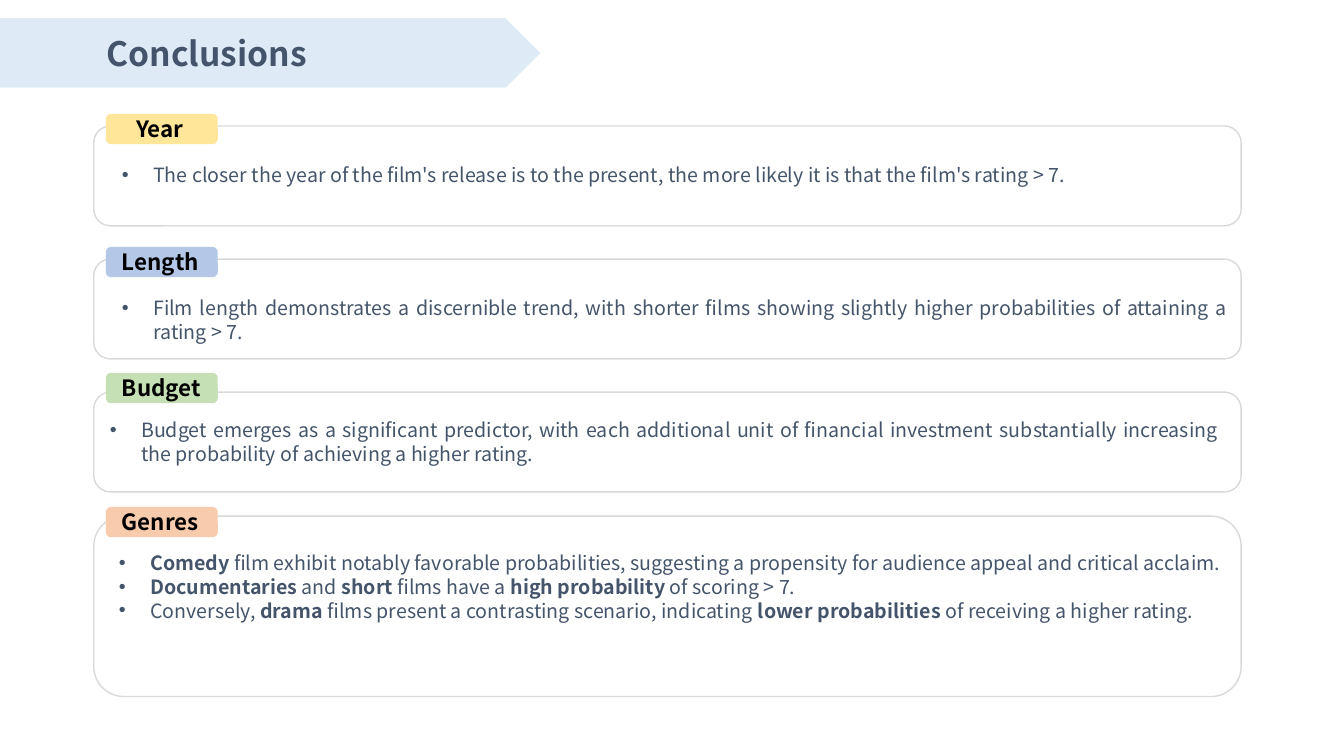
from lxml.etree import SubElement
from pptx import Presentation
from pptx.dml.color import RGBColor
from pptx.enum.shapes import MSO_SHAPE
from pptx.enum.text import MSO_ANCHOR, PP_ALIGN
from pptx.oxml.ns import qn
from pptx.util import Inches, Pt

FONT = "Noto Sans CJK SC"
COLORS = {
    "banner": "DEEBF7", "text": "44546A", "label": "000000", "border": "D9D9D9",
    "Year": "FFE699", "Length": "B4C7E7", "Budget": "C5E0B4", "Genres": "F8CBAD",
}
CARD_LEFT, CARD_WIDTH = 0.93, 11.38
CARD_TOP, CARD_STEP = 1.25, 1.32
INDENT = 0.31

# Bullets are lists of (text, bold) runs.
YEAR = [[("The closer the year of the film's release is to the present, the more likely "
          "it is that the film's rating > 7.", False)]]
LENGTH = [[("Film length demonstrates a discernible trend, with shorter films showing "
            "slightly higher probabilities of attaining a rating > 7.", False)]]
BUDGET = [[("Budget emerges as a significant predictor, with each additional unit of "
            "financial investment substantially increasing the probability of "
            "achieving a higher rating.", False)]]
GENRES = [
    [("Comedy", True),
     (" film exhibit notably favorable probabilities, suggesting a propensity for "
      "audience appeal and critical acclaim.", False)],
    [("Documentaries", True), (" and ", False), ("short", True),
     (" films have a ", False), ("high probability", True),
     (" of scoring > 7.", False)],
    [("Conversely, ", False), ("drama", True),
     (" films present a contrasting scenario, indicating ", False),
     ("lower probabilities", True), (" of receiving a higher rating.", False)],
]


def add_block(slide, kind, box, fill=None, border=None):
    block = slide.shapes.add_shape(kind, *map(Inches, box))
    block.shadow.inherit = False
    if fill:
        block.fill.solid()
        block.fill.fore_color.rgb = RGBColor.from_string(COLORS[fill])
    else:
        block.fill.background()
    if border:
        block.line.color.rgb = RGBColor.from_string(COLORS[border])
        block.line.width = Pt(1)
    else:
        block.line.fill.background()


def add_bullet(paragraph):
    properties = paragraph._p.get_or_add_pPr()
    properties.set("marL", str(Inches(INDENT)))
    properties.set("indent", str(-Inches(INDENT)))
    SubElement(properties, qn("a:buFont"), typeface="Arial")
    SubElement(properties, qn("a:buChar"), char="•")


def add_text(slide, box, paragraphs, size, color, align=PP_ALIGN.LEFT,
             anchor=MSO_ANCHOR.TOP, bulleted=False):
    frame = slide.shapes.add_textbox(*map(Inches, box)).text_frame
    frame.word_wrap = True
    frame.vertical_anchor = anchor
    frame.margin_left = frame.margin_right = frame.margin_top = frame.margin_bottom = 0
    for index, runs in enumerate(paragraphs):
        paragraph = frame.add_paragraph() if index else frame.paragraphs[0]
        paragraph.alignment = align
        paragraph.line_spacing = Pt(size * 1.2)
        if bulleted:
            add_bullet(paragraph)
        for words, bold in runs:
            run = paragraph.add_run()
            run.text = words
            run.font.name = FONT
            run.font.size = Pt(size)
            run.font.bold = bold
            run.font.color.rgb = RGBColor.from_string(COLORS[color])
            SubElement(run._r.get_or_add_rPr(), qn("a:ea"), typeface=FONT)


def add_banner(slide, left, top, width, height):
    add_block(slide, MSO_SHAPE.PENTAGON, (left, top, width, height), fill="banner")
    add_text(slide, (left - 0.36, top + 0.13, width - 0.54, 0.43),
             [[("Conclusions", True)]], 24, "text", PP_ALIGN.CENTER, MSO_ANCHOR.MIDDLE)


def add_card(slide, box, topic, bullets, tab_rise, label_inset, body_box, align):
    """Outlined card with a coloured tab; body_box is relative to the card's corner."""
    left, top, width, height = box
    tab_left, tab_top = left + 0.12, top - tab_rise
    add_block(slide, MSO_SHAPE.ROUNDED_RECTANGLE, box, border="border")
    add_block(slide, MSO_SHAPE.ROUNDED_RECTANGLE, (tab_left, tab_top, 1.11, 0.3), fill=topic)
    add_text(slide, (tab_left + label_inset, tab_top + 0.01, 1.85, 0.27),
             [[(topic, True)]], 16, "label")
    x, y, body_width, body_height = body_box
    add_text(slide, (left + x, top + y, body_width, body_height),
             bullets, 14, "text", align, bulleted=True)


def main():
    presentation = Presentation()
    presentation.slide_width, presentation.slide_height = Inches(13.33), Inches(7.5)
    slide = presentation.slides.add_slide(presentation.slide_layouts[6])
    add_banner(slide, 0, 0.18, 5.36, 0.69)

    left, justify = PP_ALIGN.LEFT, PP_ALIGN.JUSTIFY
    cards = [
        ("Year", YEAR, 0.99, 0.12, 0.3, (0.28, 0.37, 10.71, 0.64), left),
        ("Length", LENGTH, 0.99, 0.12, 0.16, (0.28, 0.37, 10.97, 0.88), justify),
        ("Budget", BUDGET, 0.99, 0.19, 0.16, (0.16, 0.26, 11, 0.82), justify),
        ("Genres", GENRES, 1.79, 0.09, 0.16, (0.25, 0.35, 11, 1.53), justify),
    ]
    for index, (topic, bullets, height, *layout) in enumerate(cards):
        # The tall last card sits slightly closer to the one above it.
        top = 5.12 if topic == "Genres" else CARD_TOP + index * CARD_STEP
        add_card(slide, (CARD_LEFT, top, CARD_WIDTH, height), topic, bullets, *layout)
    presentation.save("out.pptx")


if __name__ == "__main__":
    main()
